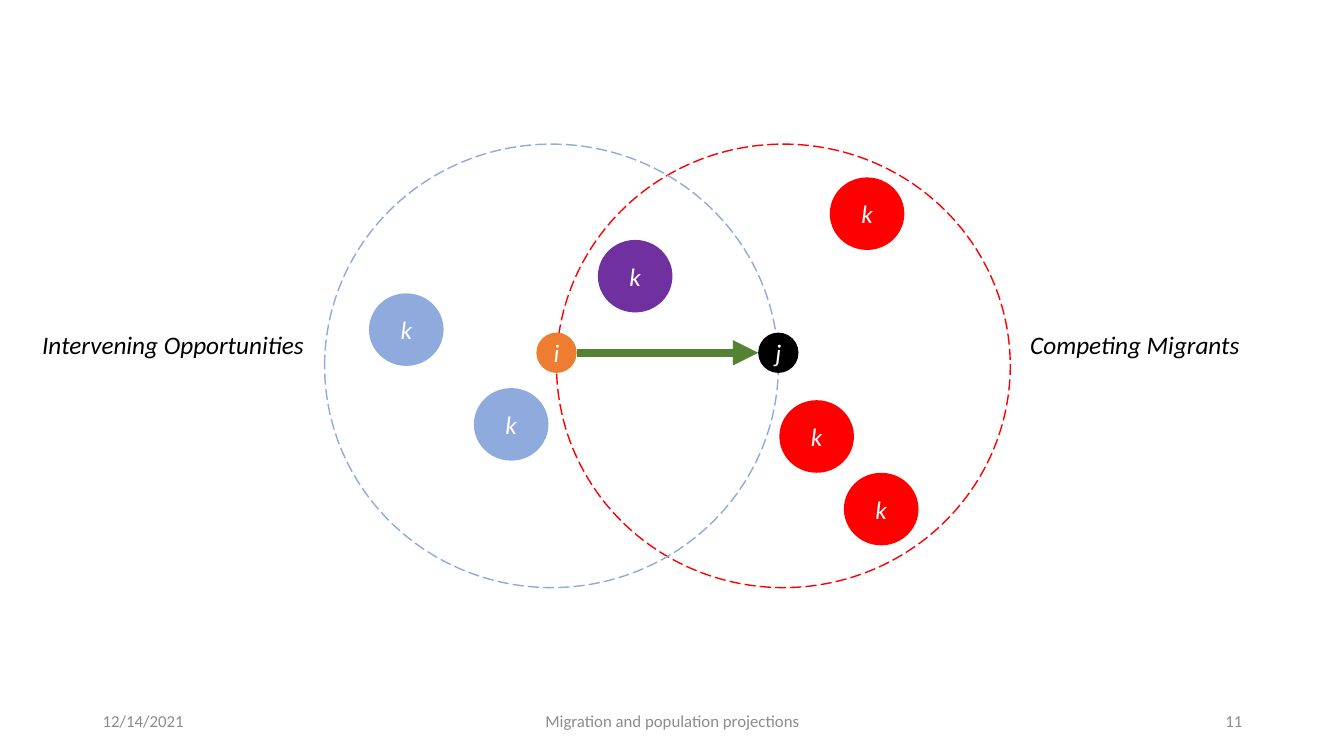
"""Build the slide on intervening opportunities and competing migrants."""
from lxml.etree import SubElement
from pptx import Presentation
from pptx.dml.color import RGBColor
from pptx.enum.dml import MSO_LINE
from pptx.enum.shapes import MSO_CONNECTOR, MSO_SHAPE
from pptx.enum.text import MSO_ANCHOR, PP_ALIGN
from pptx.oxml.ns import qn
from pptx.util import Inches, Pt

RED = RGBColor(0xFF, 0x00, 0x00)
BLUE = RGBColor(0x8F, 0xAA, 0xDC)
ORANGE = RGBColor(0xED, 0x7D, 0x31)
PURPLE = RGBColor(0x70, 0x30, 0xA0)
GREEN = RGBColor(0x54, 0x82, 0x35)
BLACK = RGBColor(0x00, 0x00, 0x00)
WHITE = RGBColor(0xFF, 0xFF, 0xFF)
GRAY = RGBColor(0x8C, 0x8C, 0x8C)

REGION_SIZE = (4.5, 4.4)
END_SIZE = (0.4, 0.4)
PLACE_SIZE = (0.74, 0.72)
ROW_HEIGHT = 0.4
LABEL_TOP = 3.22
FOOTER_TOP = 6.95

REGIONS = [(5.52, 1.43, RED), (3.22, 1.43, BLUE)]
ORIGIN = ("i", 5.32, 3.3, ORANGE)
DESTINATION = ("j", 7.52, 3.3, BLACK)
PLACES = [
    ("k", 5.93, 2.38, PURPLE),
    ("k", 3.66, 2.91, BLUE),
    ("k", 4.7, 3.85, BLUE),
    ("k", 8.23, 1.76, RED),
    ("k", 8.37, 4.69, RED),
    ("k", 7.73, 3.97, RED),
]
LABELS = [
    ("Intervening Opportunities", 0.32, 2.89),
    ("Competing Migrants", 10.12, 2.3),
]
FOOTERS = [
    ("12/14/2021", 0.92, 3, PP_ALIGN.LEFT),
    ("Migration and population projections", 4.42, 4.5, PP_ALIGN.CENTER),
    ("11", 9.42, 3, PP_ALIGN.RIGHT),
]


def write_text(shape, text, size, color, align, italic, anchor):
    """Put one formatted paragraph into a shape."""
    frame = shape.text_frame
    frame.word_wrap = True
    frame.vertical_anchor = anchor
    para = frame.paragraphs[0]
    para.text = text
    para.alignment = align
    font = para.font
    font.name, font.size, font.italic = "Calibri", Pt(size), italic
    font.color.rgb = color


def add_circle(page, left, top, size):
    """Add an ellipse without a shadow."""
    circle = page.shapes.add_shape(
        MSO_SHAPE.OVAL, Inches(left), Inches(top), *map(Inches, size))
    circle.shadow.inherit = False
    return circle


def add_region(page, left, top, color):
    """Add a dashed region outline."""
    region = add_circle(page, left, top, REGION_SIZE)
    region.fill.background()
    region.line.color.rgb = color
    region.line.width = Pt(1)
    region.line.dash_style = MSO_LINE.LONG_DASH


def add_place(page, letter, left, top, color, size):
    """Add a filled circle with a letter."""
    place = add_circle(page, left, top, size)
    place.fill.solid()
    place.fill.fore_color.rgb = color
    place.line.fill.background()
    frame = place.text_frame
    frame.margin_left = frame.margin_right = 0
    frame.margin_top = frame.margin_bottom = 0
    write_text(place, letter, 18, WHITE, PP_ALIGN.CENTER, True, MSO_ANCHOR.MIDDLE)


def add_flow(page):
    """Add the arrow from the origin to the destination."""
    start = ORIGIN[1] + END_SIZE[0]
    middle = Inches(ORIGIN[2] + END_SIZE[1] / 2)
    flow = page.shapes.add_connector(
        MSO_CONNECTOR.STRAIGHT, Inches(start), middle, Inches(DESTINATION[1]), middle)
    flow.line.color.rgb = GREEN
    flow.line.width = Pt(6)
    SubElement(flow.line._get_or_add_ln(), qn("a:tailEnd"), type="triangle")
    SubElement(flow._element.spPr, qn("a:effectLst"))


def add_text_row(page, left, top, width):
    """Add an empty one-line text box."""
    return page.shapes.add_textbox(
        Inches(left), Inches(top), Inches(width), Inches(ROW_HEIGHT))


def main():
    """Build and save the deck."""
    deck = Presentation()
    deck.slide_width, deck.slide_height = Inches(13.33), Inches(7.5)
    page = deck.slides.add_slide(deck.slide_layouts[6])
    for region in REGIONS:
        add_region(page, *region)
    for end in (ORIGIN, DESTINATION):
        add_place(page, *end, END_SIZE)
    add_flow(page)
    for place in PLACES:
        add_place(page, *place, PLACE_SIZE)
    for text, left, width in LABELS:
        box = add_text_row(page, left, LABEL_TOP, width)
        write_text(box, text, 18, BLACK, PP_ALIGN.LEFT, True, MSO_ANCHOR.TOP)
    for text, left, width, align in FOOTERS:
        box = add_text_row(page, left, FOOTER_TOP, width)
        write_text(box, text, 12, GRAY, align, False, MSO_ANCHOR.MIDDLE)
    deck.save("out.pptx")


if __name__ == "__main__":
    main()
